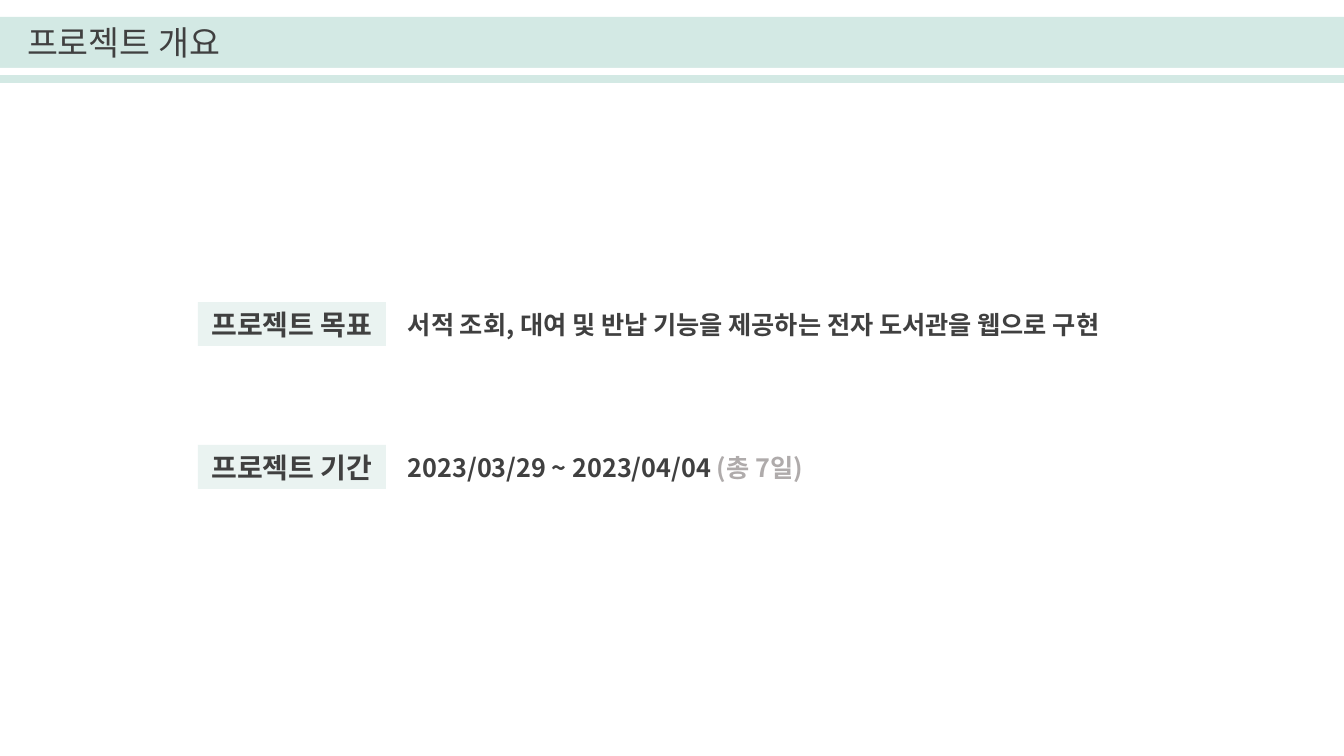
from pptx import Presentation
from pptx import util as u
from pptx.dml.color import RGBColor
from pptx.enum import shapes, text
from pptx.oxml.ns import qn
from lxml import etree

PIXEL = u.Inches(1) / 100.8
FONT = "Noto Sans CJK KR"
INK, GREY, WHITE = "404040", "AFABAB", "FFFFFF"
MINT, PALE_MINT = "D3E9E4", "EAF3F1"
FIRST_ROW, ROW_PITCH = 302, 143


def px(*lengths):
    """Turn pixel lengths into EMU."""
    return [u.Emu(round(length * PIXEL)) for length in lengths]


def color(hex_string):
    """Return the colour of a hex string."""
    return RGBColor.from_string(hex_string)


def write(shape, runs, size, bold=False, align=text.PP_ALIGN.LEFT):
    """Fill a shape with one line of (wording, colour) runs."""
    frame = shape.text_frame
    frame.word_wrap = True
    frame.auto_size = text.MSO_AUTO_SIZE.NONE
    frame.vertical_anchor = text.MSO_ANCHOR.MIDDLE
    paragraph = frame.paragraphs[0]
    paragraph.alignment = align
    for wording, hex_string in runs:
        run = paragraph.add_run()
        run.text = wording
        font = run.font
        font.name, font.size, font.bold = FONT, u.Pt(size), bold
        font.color.rgb = color(hex_string)
        east_asian = etree.SubElement(run._r.get_or_add_rPr(), qn("a:ea"))
        east_asian.set("typeface", FONT)


def add_band(slide, box, fill):
    """Add a plain rectangle without outline."""
    band = slide.shapes.add_shape(shapes.MSO_SHAPE.RECTANGLE, *px(*box))
    band.shadow.inherit = False
    band.fill.solid()
    band.fill.fore_color.rgb = color(fill)
    band.line.fill.background()
    return band


def add_header(slide, wording):
    """Add the striped header and put the title on top of it."""
    add_band(slide, (0, 17, 1344, 66), MINT)
    add_band(slide, (0, 68, 1344, 7), WHITE)
    title = slide.shapes.title
    title.left, title.top, title.width, title.height = px(17, 17, 374, 50)
    write(title, [(wording, INK)], 24)
    slide.shapes._spTree.append(title._element)


def add_row(slide, top, label, runs):
    """Add a tinted label and the statement beside it."""
    tag = add_band(slide, (198, top, 188, 44), PALE_MINT)
    write(tag, [(label, INK)], 20, True, text.PP_ALIGN.CENTER)
    statement = slide.shapes.add_textbox(*px(398, top + 2, 748, 40))
    write(statement, runs, 18, True)


def main():
    """Build the project overview slide."""
    presentation = Presentation()
    presentation.slide_width, presentation.slide_height = px(1344, 756)
    slide = presentation.slides.add_slide(presentation.slide_layouts[5])
    add_header(slide, "프로젝트 개요")
    rows = [
        ("프로젝트 목표",
         [("서적 조회, 대여 및 반납 기능을 제공하는 전자 도서관을 웹으로 구현", INK)]),
        ("프로젝트 기간",
         [("2023/03/29 ~ 2023/04/04 ", INK), ("(총 7일)", GREY)]),
    ]
    for index, (label, runs) in enumerate(rows):
        add_row(slide, FIRST_ROW + index * ROW_PITCH, label, runs)
    presentation.save("out.pptx")


main()
